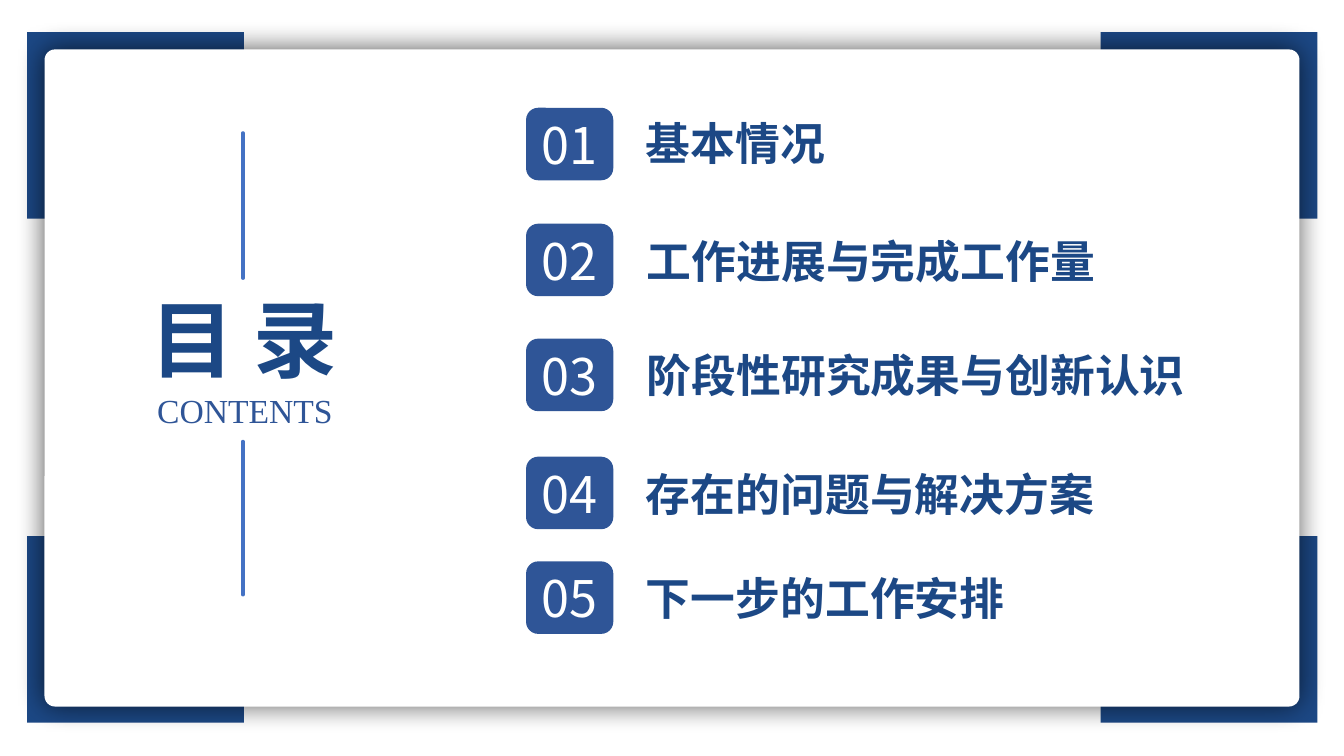
import pptx
import pptx.util
import pptx.dml.color
import pptx.enum.shapes
import pptx.enum.text
import pptx.oxml
import pptx.oxml.ns
import lxml.etree

Pt = pptx.util.Pt
SHAPE = pptx.enum.shapes.MSO_SHAPE
ALIGN = pptx.enum.text.PP_ALIGN
ANCHOR = pptx.enum.text.MSO_ANCHOR
qn = pptx.oxml.ns.qn

NAVY = "1C4885"
BLUE = "2F5597"
RULE = "4472C4"
WHITE = "FFFFFF"
SERIF = "Times New Roman"
SANS = "Noto Sans CJK SC"

SHADOW = (
    f'<a:effectLst {pptx.oxml.ns.nsdecls("a")}>'
    '<a:outerShdw blurRad="254000" dist="0" algn="ctr" rotWithShape="0">'
    '<a:srgbClr val="000000"><a:alpha val="65000"/></a:srgbClr>'
    '</a:outerShdw></a:effectLst>'
)

ENTRIES = [
    ("基本情况", 77, 79.2, 454.3),
    ("工作进展与完成工作量", 159.8, 163.4, 455),
    ("阶段性研究成果与创新认识", 241.9, 244.8, 455),
    ("存在的问题与解决方案", 326.2, 329.8, 454.3),
    ("下一步的工作安排", 401, 403.9, 454.3),
]


def colour(value):
    return pptx.dml.color.RGBColor.from_string(value)


def write(shape, text, size, font, ink, bold=False, align=ALIGN.LEFT,
          anchor=ANCHOR.TOP, wrap=True):
    frame = shape.text_frame
    frame.word_wrap = wrap
    frame.auto_size = pptx.enum.text.MSO_AUTO_SIZE.NONE
    frame.vertical_anchor = anchor
    para = frame.paragraphs[0]
    para.alignment = align
    span = para.add_run()
    span.text = text
    span.font.size = Pt(size)
    span.font.name = font
    span.font.bold = bold
    span.font.color.rgb = colour(ink)
    east_asian = lxml.etree.SubElement(span.font._element, qn("a:ea"))
    east_asian.set("typeface", SANS)


def add_block(page, kind, left, top, width, height, fill):
    block = page.shapes.add_shape(kind, Pt(left), Pt(top), Pt(width), Pt(height))
    block.shadow.inherit = False
    block.fill.solid()
    block.fill.fore_color.rgb = colour(fill)
    block.line.fill.background()
    return block


def add_panel(page):
    panel = add_block(page, SHAPE.ROUNDED_RECTANGLE, 31.8, 35.3, 896.4, 469.4, WHITE)
    panel.adjustments[0] = 0.016
    properties = panel.element.spPr
    properties.replace(properties.find(qn("a:effectLst")),
                       pptx.oxml.parse_xml(SHADOW))


def add_rule(page, left, top, bottom):
    rule = page.shapes.add_connector(pptx.enum.shapes.MSO_CONNECTOR.STRAIGHT,
                                     Pt(left), Pt(top), Pt(left), Pt(bottom))
    rule.line.color.rgb = colour(RULE)
    rule.line.width = Pt(2.5)
    properties = rule.element.spPr
    properties.find(qn("a:ln")).set("cap", "rnd")
    lxml.etree.SubElement(properties, qn("a:effectLst"))


def add_label(page, left, top, width, height, text, size, ink, **style):
    box = page.shapes.add_textbox(Pt(left), Pt(top), Pt(width), Pt(height))
    write(box, text, size, SERIF, ink, **style)


def place_title(page):
    title = page.shapes.title
    title.element.getparent().append(title.element)
    title.left, title.top = Pt(82.1), Pt(201.6)
    title.width, title.height = Pt(185), Pt(79.9)
    write(title, "目 录", 60, SERIF, NAVY, bold=True, align=ALIGN.CENTER)


def add_entry(page, number, text, badge_top, label_top, label_left):
    badge = add_block(page, SHAPE.ROUNDED_RECTANGLE, 375.8, badge_top, 62.3, 51.8, BLUE)
    write(badge, f"{number:02d}", 36, SANS, WHITE,
          align=ALIGN.CENTER, anchor=ANCHOR.MIDDLE)
    add_label(page, label_left, label_top, 406, 46, text, 32, NAVY, bold=True)


def main():
    deck = pptx.Presentation()
    deck.slide_width, deck.slide_height = Pt(960), Pt(540)
    page = deck.slides.add_slide(deck.slide_layouts[5])

    for left in (19.4, 786.2):
        for top in (23, 383):
            add_block(page, SHAPE.RECTANGLE, left, top, 154.8, 133.2, NAVY)
    add_panel(page)
    add_rule(page, 173.5, 95, 198.7)
    add_rule(page, 173.5, 315.4, 424.8)
    place_title(page)
    add_label(page, 105.1, 275, 139.7, 36, "CONTENTS", 24, BLUE,
              align=ALIGN.CENTER, wrap=False)
    for number, entry in enumerate(ENTRIES, 1):
        add_entry(page, number, *entry)

    deck.save("out.pptx")


if __name__ == "__main__":
    main()
